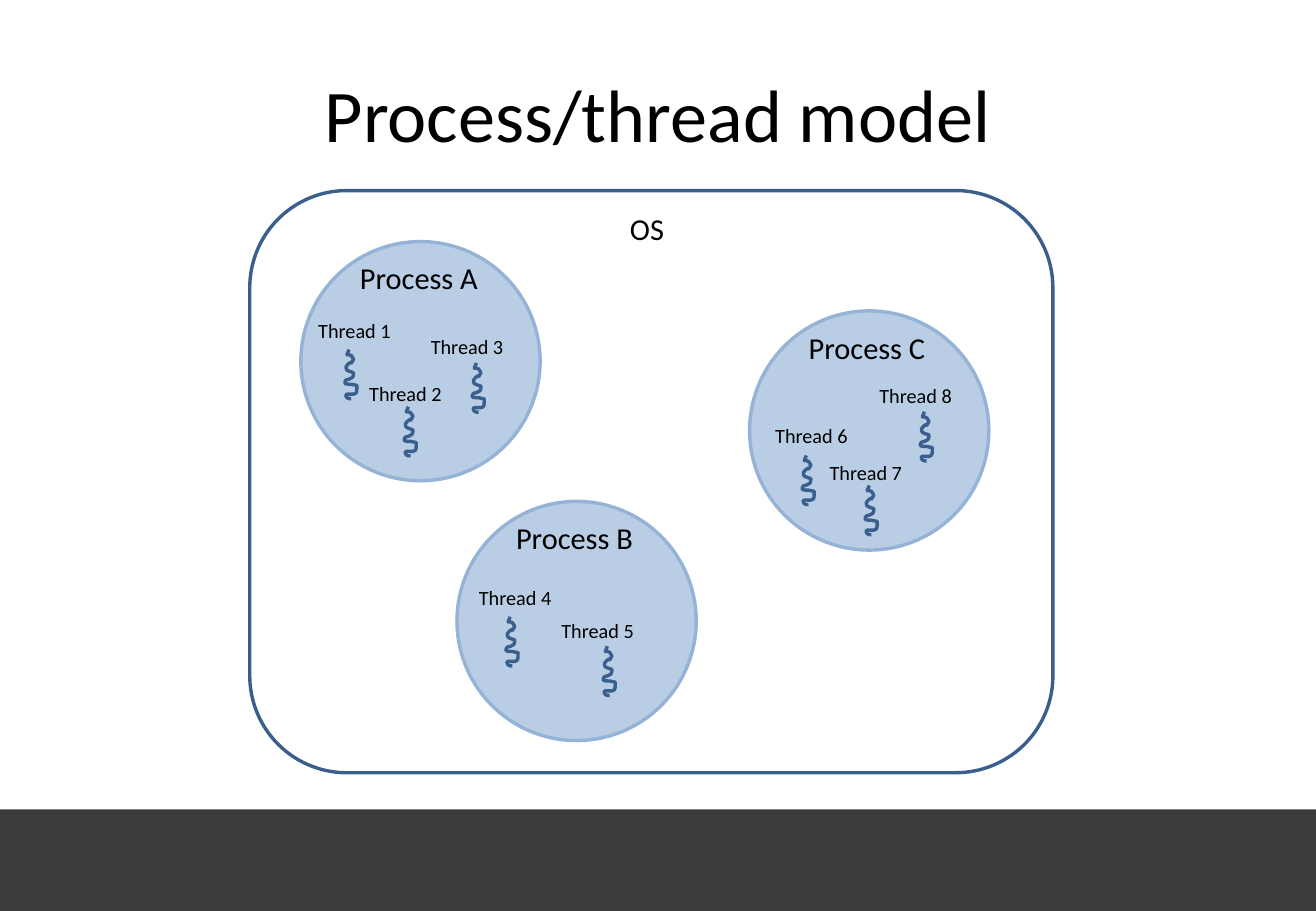
from pptx import Presentation
from pptx.dml.color import RGBColor
from pptx.enum import shapes, text
from pptx.oxml import ns, xmlchemy
from pptx.util import Pt

BLACK = RGBColor(0x00, 0x00, 0x00)
FOOTER_GREY = RGBColor(0x3B, 0x3B, 0x3B)
DARK_BLUE = RGBColor(0x3A, 0x5F, 0x8C)
EDGE_BLUE = RGBColor(0x95, 0xB3, 0xD7)
PALE_BLUE = RGBColor(0xB9, 0xCD, 0xE5)

WIDTH, HEIGHT = 779.8, 540
DIAMETER = 141.8

# Cubic curves of a thread, measured from its top: two control points, then the end
THREAD_CURVES = [
    ((-2.2, 5.8), (-1.4, 1.4), (1.4, 3.6)),
    ((2.2, 4.3), (2.2, 5), (2.7, 5.8)),
    ((-0.9, 11.5), (4.1, 5), (-0.5, 8.6)),
    ((-1.2, 8.8), (-1.4, 9.7), (-1.7, 10.1)),
    ((-1.7, 10.8), (-1.7, 12), (-1.2, 12.2)),
    ((0, 13), (2.7, 13.7), (2.7, 13.7)),
    ((2.7, 14.4), (2.7, 15.5), (2.2, 16.4)),
    ((1.4, 17.3), (-0.7, 17.8), (-1.7, 18)),
    ((-2, 18.7), (-3, 19.4), (-2.4, 20.2)),
    ((-1.4, 20.8), (0, 20.4), (1.3, 20.6)),
    ((2.5, 20.8), (3.5, 20.9), (4.7, 21.3)),
    ((4.5, 23), (4.9, 25.2), (4, 25.9)),
    ((2.6, 27.2), (0, 25.9), (-1.7, 26.6)),
    ((-2.2, 26.9), (-1.7, 28.1), (-1.2, 28.6)),
    ((-0.5, 29.3), (0.5, 29.1), (1.3, 29.1)),
]

# Process name, circle corner, and threads: number, label corner and top of the
# thread, both measured from the circle corner
PROCESSES = [
    ("Process C", (444.2, 184.3), [
        (6, (8.1, 63), (33.6, 85.7)),
        (7, (40.3, 85), (70.9, 103.5)),
        (8, (69.8, 39.6), (103.6, 59.8)),
    ]),
    ("Process B", (270.8, 297.2), [
        (4, (5.9, 46.1), (31.5, 68.4)),
        (5, (54.8, 65.5), (89.1, 85.9)),
    ]),
    ("Process A", (178.3, 143.2), [
        (1, (3.2, 41.8), (28.5, 64)),
        (2, (33.4, 79.2), (63.7, 97.9)),
        (3, (69.9, 51.6), (104, 72)),
    ]),
]


def add_text(slide, content, left, top, width, height, *, size, wrap=False,
             align=text.PP_ALIGN.LEFT, anchor=text.MSO_ANCHOR.TOP):
    box = slide.shapes.add_textbox(Pt(left), Pt(top), Pt(width), Pt(height))
    frame = box.text_frame
    frame.word_wrap = wrap
    frame.vertical_anchor = anchor
    paragraph = frame.paragraphs[0]
    paragraph.alignment = align
    run = paragraph.add_run()
    run.text = content
    run.font.name = "Calibri"
    run.font.size = Pt(size)
    run.font.color.rgb = BLACK


def style(shape, fill=None, line=None):
    shape.shadow.inherit = False
    if fill is None:
        shape.fill.background()
    else:
        shape.fill.solid()
        shape.fill.fore_color.rgb = fill
    if line is None:
        shape.line.fill.background()
    else:
        shape.line.color.rgb = line
        shape.line.width = Pt(2)


def add_preset(slide, kind, left, top, width, height, **colours):
    shape = slide.shapes.add_shape(kind, Pt(left), Pt(top), Pt(width), Pt(height))
    style(shape, **colours)


def bend_segments(shape):
    """Turn every three straight segments of a freeform into one cubic curve."""
    segments = list(shape.element.iter(ns.qn("a:lnTo")))
    for start in range(0, len(segments), 3):
        curve = xmlchemy.OxmlElement("a:cubicBezTo")
        segments[start].addprevious(curve)
        for segment in segments[start:start + 3]:
            curve.append(segment[0])
            segment.getparent().remove(segment)


def add_thread(slide, left, top):
    """Draw a wavy line whose top end is at the given place."""
    builder = slide.shapes.build_freeform(Pt(left), Pt(top))
    builder.add_line_segments(
        [(Pt(left + x), Pt(top + y)) for curve in THREAD_CURVES for x, y in curve],
        close=False,
    )
    thread = builder.convert_to_shape()
    bend_segments(thread)
    style(thread, line=DARK_BLUE)


def add_process(slide, name, left, top, threads):
    add_preset(slide, shapes.MSO_SHAPE.OVAL, left, top, DIAMETER, DIAMETER,
               fill=PALE_BLUE, line=EDGE_BLUE)
    add_text(slide, name, left + 27.9, top + 7, 84.6, 28.8, size=18)
    for number, (label_x, label_y), (thread_x, thread_y) in threads:
        add_thread(slide, left + thread_x, top + thread_y)
        add_text(slide, f"Thread {number}", left + label_x, top + label_y,
                 57.6, 21.6, size=12)


def add_system(slide, left, top, width, height):
    """Draw the frame of the operating system with its heading."""
    add_preset(slide, shapes.MSO_SHAPE.ROUNDED_RECTANGLE, left, top, width, height,
               line=DARK_BLUE)
    add_text(slide, "OS", left + 218.2, top + 7.9, 34.6, 28.8, size=18)


def add_model_slide(presentation):
    slide = presentation.slides.add_slide(presentation.slide_layouts[6])
    add_preset(slide, shapes.MSO_SHAPE.RECTANGLE, 0, 479.7, WIDTH, HEIGHT - 479.7,
               fill=FOOTER_GREY)
    add_text(slide, "Process/thread model", 38.9, 21.6, 702, 90, size=44, wrap=True,
             align=text.PP_ALIGN.CENTER, anchor=text.MSO_ANCHOR.MIDDLE)
    for name, (left, top), threads in PROCESSES:
        add_process(slide, name, left, top, threads)
    add_system(slide, 148, 113, 475.9, 345.1)


def main():
    presentation = Presentation()
    presentation.slide_width = Pt(WIDTH)
    presentation.slide_height = Pt(HEIGHT)
    add_model_slide(presentation)
    presentation.save("out.pptx")


if __name__ == "__main__":
    main()
